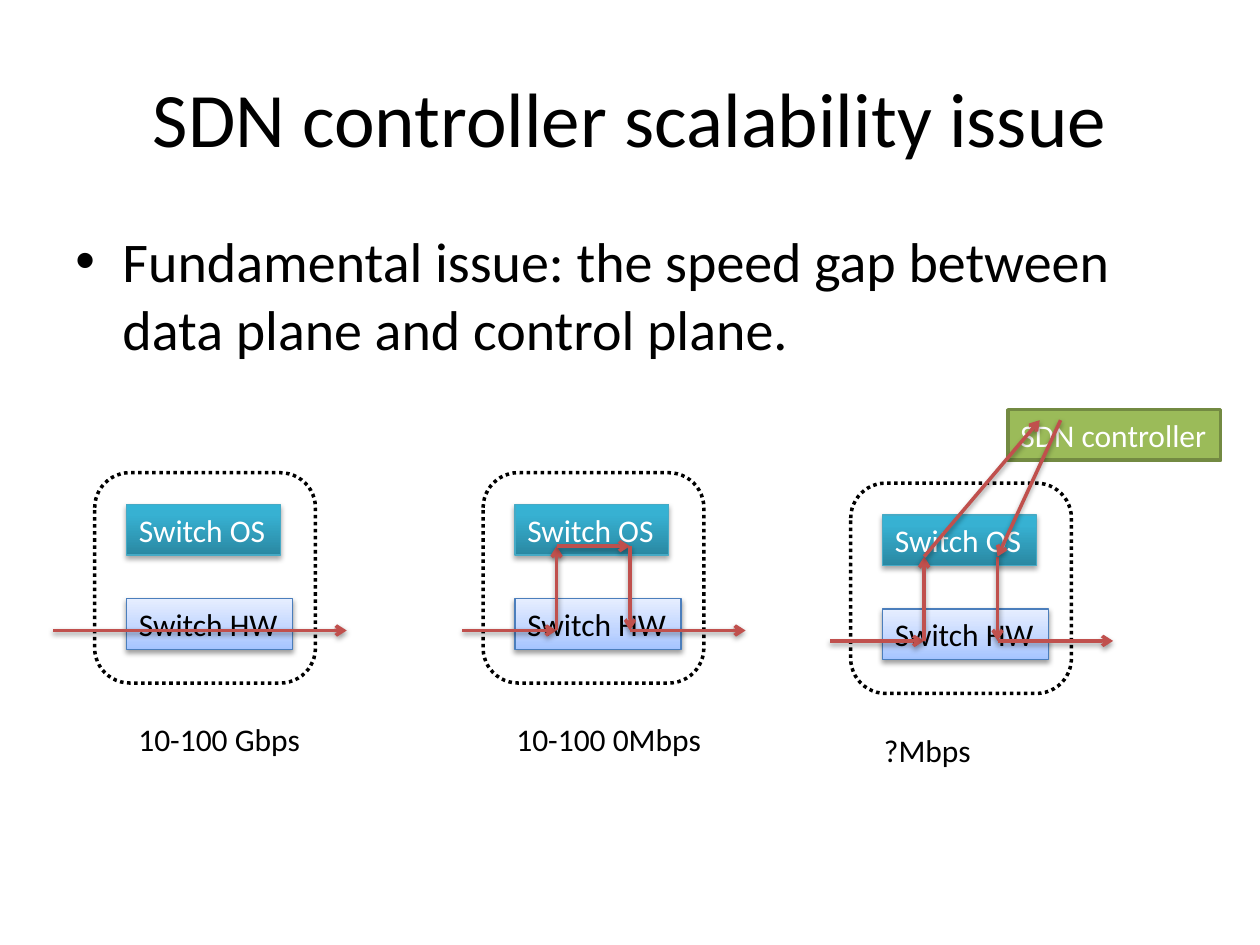
import copy

import lxml.etree
import pptx
import pptx.dml.color
import pptx.enum.dml
import pptx.enum.shapes
import pptx.enum.text
import pptx.oxml.ns
import pptx.util

Cm = pptx.util.Cm
Pt = pptx.util.Pt
qn = pptx.oxml.ns.qn
SHAPES = pptx.enum.shapes.MSO_SHAPE


def color(value):
    return pptx.dml.color.RGBColor.from_string(value)


def child(parent, tag, **attributes):
    return lxml.etree.SubElement(parent, qn(tag), attributes)


class SlideBuilder:
    font = "Calibri"
    black, white, arrow_red = "000000", "FFFFFF", "C0504D"
    label_size, line_width = 18, 2

    def __init__(self, slide):
        self.slide = slide

    def set_text(self, shape, text, size, ink, wrap=False):
        frame = shape.text_frame
        frame.word_wrap = wrap
        frame.vertical_anchor = pptx.enum.text.MSO_ANCHOR.TOP
        paragraph = frame.paragraphs[0]
        paragraph.text = text
        paragraph.alignment = pptx.enum.text.PP_ALIGN.LEFT
        paragraph.font.name = self.font
        paragraph.font.size = Pt(size)
        paragraph.font.color.rgb = color(ink)
        return paragraph

    def title(self, text, *box):
        title = self.slide.shapes.title
        title.left, title.top, title.width, title.height = map(Cm, box)
        paragraph = self.set_text(title, text, 44, self.black, wrap=True)
        paragraph.alignment = pptx.enum.text.PP_ALIGN.CENTER
        title.text_frame.vertical_anchor = pptx.enum.text.MSO_ANCHOR.MIDDLE

    def bullet(self, text, *box):
        body = self.slide.shapes.add_textbox(*map(Cm, box))
        paragraph = self.set_text(body, text, 32, self.black, wrap=True)
        paragraph.space_before = Pt(6.4)
        properties = paragraph._p.get_or_add_pPr()
        properties.set("marL", str(Cm(0.95)))
        properties.set("indent", str(Cm(-0.95)))
        bullet_font = child(properties, "a:buFont", typeface="Arial")
        bullet_mark = child(properties, "a:buChar", char="•")
        default_run = properties.find(qn("a:defRPr"))
        if default_run is not None:
            default_run.addprevious(bullet_font)
            default_run.addprevious(bullet_mark)

    def caption(self, text, *box):
        caption = self.slide.shapes.add_textbox(*map(Cm, box))
        self.set_text(caption, text, self.label_size, self.black)
        caption.text_frame.auto_size = pptx.enum.text.MSO_AUTO_SIZE.SHAPE_TO_FIT_TEXT

    def block(self, kind, box, outline, width):
        block = self.slide.shapes.add_shape(kind, *map(Cm, box))
        block.shadow.inherit = False
        block.line.color.rgb = color(outline)
        block.line.width = Pt(width)
        return block

    def label_block(self, text, box, ink, outline, width):
        block = self.block(SHAPES.RECTANGLE, box, outline, width)
        self.set_text(block, text, self.label_size, ink)
        block.text_frame.auto_size = pptx.enum.text.MSO_AUTO_SIZE.SHAPE_TO_FIT_TEXT
        return block

    def solid_block(self, text, box, fill, outline):
        block = self.label_block(text, box, self.white, outline, self.line_width)
        block.fill.solid()
        block.fill.fore_color.rgb = color(fill)

    def gradient_block(self, text, box, stops, ink, outline, distance, opacity):
        block = self.label_block(text, box, ink, outline, 0.75)
        block.fill.gradient()
        block.fill.gradient_angle = 90
        properties = block._element.spPr
        stop_list = properties.find(".//" + qn("a:gsLst"))
        stop_list.insert(1, copy.deepcopy(stop_list[0]))
        for stop, (position, value) in zip(block.fill.gradient_stops, stops):
            stop.position = position
            stop.color.rgb = color(value)
        self.shadow(properties.find(qn("a:effectLst")), distance, opacity)

    def shadow(self, effects, distance=1.6, opacity=38):
        cast = child(effects, "a:outerShdw", blurRad=str(Pt(3.1)),
                     dist=str(Pt(distance)), dir="5400000", rotWithShape="0")
        ink = child(cast, "a:srgbClr", val=self.black)
        child(ink, "a:alpha", val=str(opacity * 1000))

    def frame(self, *box):
        frame = self.block(SHAPES.ROUNDED_RECTANGLE, box, self.black, self.line_width)
        frame.fill.background()
        frame.line.dash_style = pptx.enum.dml.MSO_LINE.ROUND_DOT

    def arrows(self, *points):
        for start, end in zip(points, points[1:]):
            arrow = self.slide.shapes.add_connector(
                pptx.enum.shapes.MSO_CONNECTOR.STRAIGHT, *map(Cm, start + end))
            arrow.line.color.rgb = color(self.arrow_red)
            arrow.line.width = Pt(self.line_width)
            properties = arrow._element.spPr
            child(properties.find(qn("a:ln")), "a:tailEnd", type="arrow")
            self.shadow(child(properties, "a:effectLst"))

    def switch(self, left, top):
        inner = left + 0.64
        self.gradient_block(
            "Switch OS", (inner, top + 0.64, 3.1, 1.02),
            ((0, "2A88A2"), (0.8, "37B1D2"), (1, "34B4D6")),
            self.white, "46AAC5", 1.8, 35)
        self.gradient_block(
            "Switch HW", (inner, top + 2.54, 3.35, 1.02),
            ((0, "A4C4FF"), (0.35, "BFD4FF"), (1, "E6EEFF")),
            self.black, "4B7EBC", 1.6, 38)
        self.frame(left, top, 4.45, 4.24)


def flow_points(left, top):
    hardware, system = top + 3.18, top + 1.48
    up, down = left + 1.48, left + 2.96
    return ((left - 0.42, hardware), (up, hardware), (up, system),
            (down, system), (down, hardware), (left + 5.29, hardware))


def main():
    deck = pptx.Presentation()
    deck.slide_width, deck.slide_height = Cm(25.4), Cm(19.05)
    builder = SlideBuilder(deck.slides.add_slide(deck.slide_layouts[5]))
    builder.title("SDN controller scalability issue", 1.27, 0.76, 22.86, 3.18)
    builder.bullet("Fundamental issue: the speed gap between data plane and control plane.",
                   1.27, 4.45, 22.86, 2.97)

    hardware_route, system_route, controller_route = (1.91, 9.53), (9.74, 9.53), (17.15, 9.74)
    captions = (("10-100 Gbps", 2.54, 3.81), ("10-100 0Mbps", 10.16, 4.27), ("?Mbps", 17.57, 2.49))
    for (left, top), (rate, rate_left, rate_width) in zip(
            (hardware_route, system_route, controller_route), captions):
        builder.switch(left, top)
        builder.caption(rate, rate_left, top + 4.87, rate_width, 1.02)

    left, top = hardware_route
    builder.arrows((left - 0.84, top + 3.18), (left + 5.08, top + 3.18))
    builder.arrows(*flow_points(*system_route))

    flow = flow_points(*controller_route)
    builder.arrows(*flow[:3])
    builder.arrows(*flow[3:])
    builder.solid_block("SDN controller", (20.32, 8.26, 4.29, 1.02), "9BBB59", "738A42")
    builder.arrows(flow[2], (20.96, 8.47))
    builder.arrows((21.38, 8.47), flow[3])
    deck.save("out.pptx")


if __name__ == "__main__":
    main()
